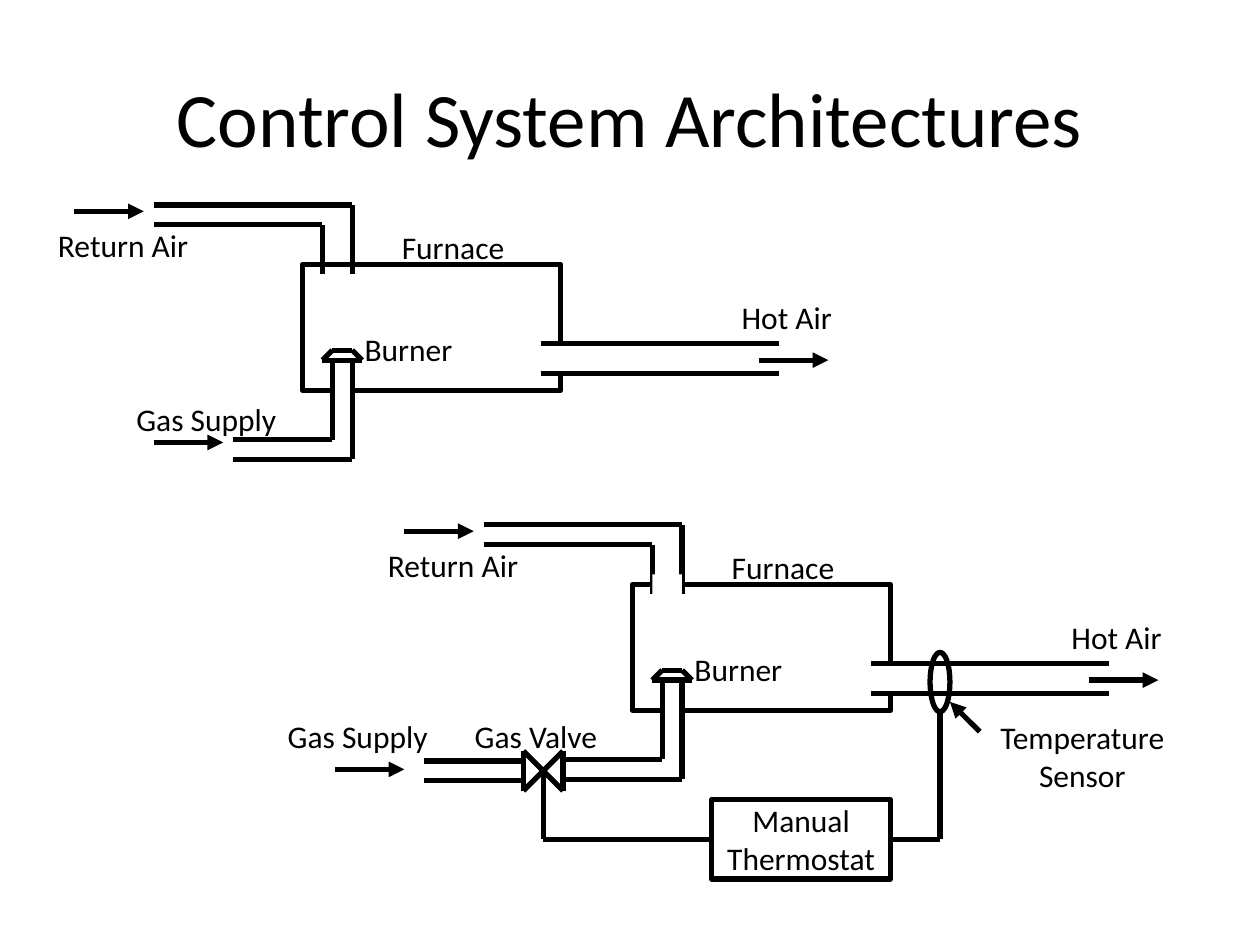
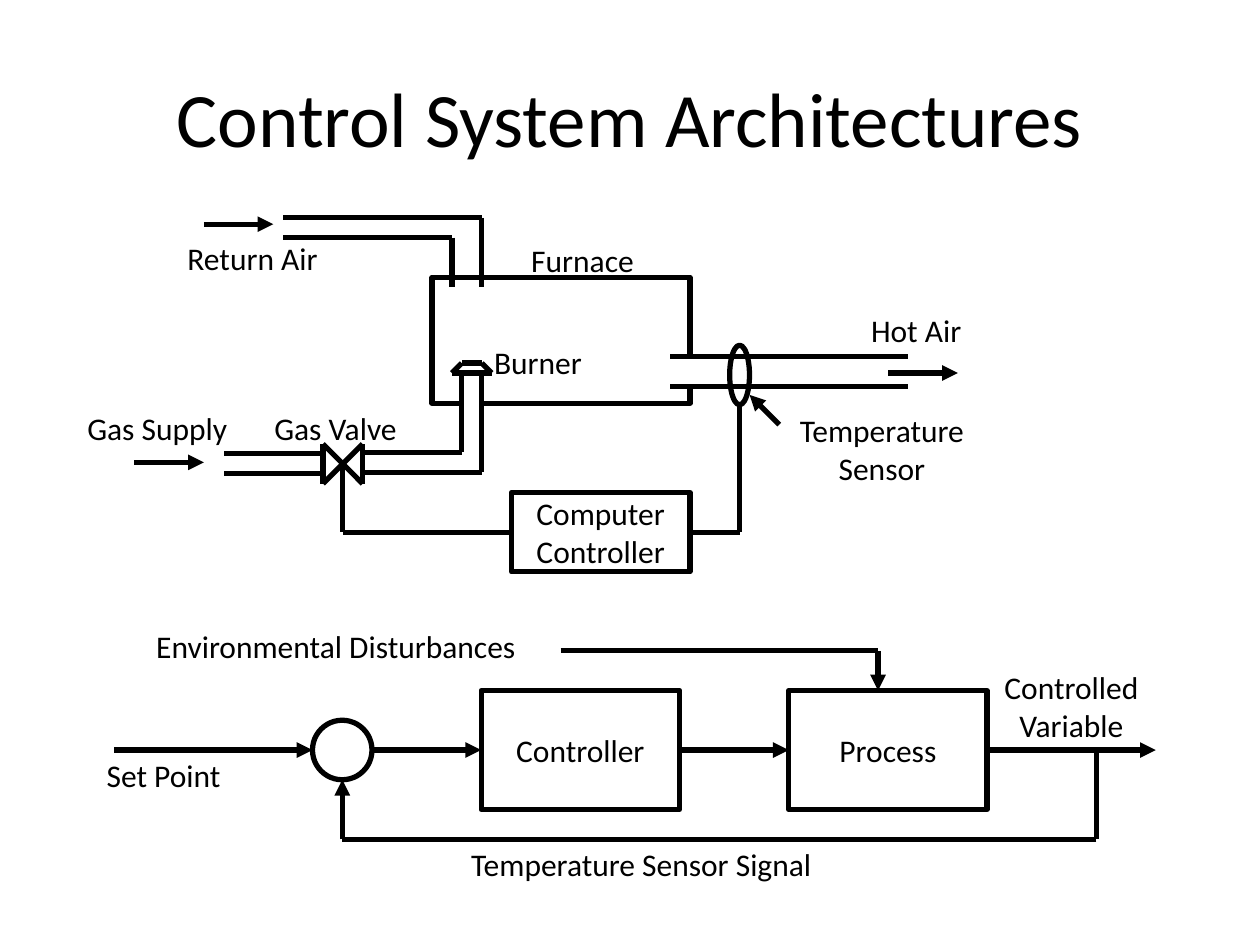
"""Build two slides of furnace control architectures."""
from dataclasses import dataclass
from itertools import pairwise
from typing import Any

from lxml import etree
from pptx import Presentation
from pptx.dml.color import RGBColor
from pptx.enum import shapes, text
from pptx.oxml import ns
from pptx.util import Cm, Pt

COLORS = {"ink": "000000", "paper": "FFFFFF"}
FONT = "Calibri"
LEFT, RIGHT = 1, 3
RECT, OVAL = shapes.MSO_SHAPE.RECTANGLE, shapes.MSO_SHAPE.OVAL


def color(key):
    """Look up a palette colour."""
    return RGBColor.from_string(COLORS[key])


def write(frame, words, size=18, centered=True):
    """Fill a text frame and format its runs."""
    frame.text = words
    for paragraph in frame.paragraphs:
        paragraph.alignment = text.PP_ALIGN.CENTER if centered else text.PP_ALIGN.LEFT
        for run in paragraph.runs:
            run.font.name, run.font.size = FONT, Pt(size)
            run.font.color.rgb = color("ink")


@dataclass
class Diagram:
    """A drawing area whose lengths are centimetres from its own origin."""

    slide: Any
    x: float = 0
    y: float = 0

    def place(self, x, y):
        """Turn a local point into slide lengths."""
        return Cm(self.x + x), Cm(self.y + y)

    def line(self, start, end, arrow=False, leaves=None, joins=None):
        """Draw a straight line, joined to box sides where they are given."""
        connector = self.slide.shapes.add_connector(
            shapes.MSO_CONNECTOR.STRAIGHT, *self.place(*start), *self.place(*end))
        if leaves:
            connector.begin_connect(*leaves)
        if joins:
            connector.end_connect(*joins)
        connector.line.color.rgb = color("ink")
        connector.line.width = Pt(3)
        if arrow:
            etree.SubElement(connector.line._get_or_add_ln(), ns.qn("a:tailEnd"), type="triangle")
        etree.SubElement(connector._element.spPr, ns.qn("a:effectLst"))

    def pipe(self, *points):
        """Draw lines through a row of points."""
        for start, end in pairwise(points):
            self.line(start, end)

    def outline(self, x, y, width, height, words="", kind=RECT):
        """Draw an unfilled shape with an optional centred caption."""
        shape = self.slide.shapes.add_shape(kind, *self.place(x, y), Cm(width), Cm(height))
        shape.shadow.inherit = False
        shape.fill.background()
        shape.line.color.rgb = color("ink")
        shape.line.width = Pt(3)
        if words:
            shape.text_frame.word_wrap = False
            shape.text_frame.vertical_anchor = text.MSO_ANCHOR.MIDDLE
            write(shape.text_frame, words)
        return shape

    def opening(self, x, y, width, height):
        """Clear a stretch of wall where a pipe passes through."""
        gap = self.slide.shapes.add_shape(RECT, *self.place(x, y), Cm(width), Cm(height))
        gap.shadow.inherit = False
        gap.fill.solid()
        gap.fill.fore_color.rgb = color("paper")
        gap.line.fill.background()

    def label(self, words, x, y, width):
        """Write a caption; captions of two lines are centred."""
        lines = words.count("\n") + 1
        box = self.slide.shapes.add_textbox(
            *self.place(x, y), Cm(width), Cm(0.26 + 0.76 * lines))
        box.text_frame.word_wrap = False
        box.text_frame.auto_size = text.MSO_AUTO_SIZE.SHAPE_TO_FIT_TEXT
        write(box.text_frame, words, centered=lines > 1)


def add_titled_slide(deck):
    """Add a blank slide with the shared title."""
    slide = deck.slides.add_slide(deck.slide_layouts[6])
    title = slide.shapes.add_textbox(Cm(1.27), Cm(0.76), Cm(22.86), Cm(3.18)).text_frame
    title.word_wrap = True
    title.vertical_anchor = text.MSO_ANCHOR.MIDDLE
    write(title, "Control System Architectures", 44)
    return slide


def draw_burner(plant):
    """Draw the burner cap and the gas pipe that feeds it."""
    plant.opening(0.6, 2.2, 0.4, 0.6)
    plant.pipe((0.6, 1.93), (0.6, 3.53), (-1.4, 3.53))
    plant.pipe((1, 1.93), (1, 3.93), (-1.4, 3.93))
    plant.pipe((0.4, 1.93), (1.2, 1.93), (1, 1.73), (0.6, 1.73), (0.4, 1.93))
    plant.label("Burner", 1, 1.2, 2.41)


def draw_furnace(plant, open_return=False):
    """Draw the furnace with its air ducts and burner."""
    plant.outline(0, 0, 5.2, 2.54)
    plant.pipe((-3, -0.8), (0.4, -0.8), (0.4, 0.2))
    plant.pipe((-3, -1.2), (1, -1.2), (1, 0.2))
    if open_return:
        plant.opening(0.4, -0.2, 0.6, 0.6)
    plant.opening(4.8, 1.6, 0.6, 0.6)
    for duct_wall in (1.6, 2.2):
        plant.pipe((4.8, duct_wall), (9.6, duct_wall))
    plant.line((9.2, 1.93), (10.6, 1.93), arrow=True)
    plant.line((-4.6, -1.07), (-3.2, -1.07), arrow=True)
    draw_burner(plant)
    plant.label("Hot Air", 8.6, 0.56, 2.46)
    plant.label("Return Air", -5.18, -0.89, 3.38)
    plant.label("Furnace", 1.75, -0.86, 2.84)


def draw_gas_supply(plant, label_x, label_y, arrow_x, arrow_y):
    """Label the gas supply and show its flow."""
    plant.label("Gas Supply", label_x, label_y, 3.78)
    plant.line((arrow_x, arrow_y), (arrow_x + 1.4, arrow_y), arrow=True)


def draw_control(plant, controller_name):
    """Draw the gas valve, the controller and the temperature sensor."""
    valve_x, valve_y, half = -1.8, 3.76, 0.4
    west, east = valve_x - half, valve_x + half
    top, bottom = valve_y - half, valve_y + half
    plant.pipe((west, top), (east, bottom), (east, top), (west, bottom), (west, top))
    for pipe_wall in (valve_y - 0.2, valve_y + 0.2):
        plant.pipe((west, pipe_wall), (west - 2, pipe_wall))
    plant.label("Gas Valve", -3.43, 2.54, 3.43)
    draw_gas_supply(plant, -7.2, 2.54, -6, 3.73)

    controller = plant.outline(1.6, 4.34, 3.6, 1.6, controller_name)
    signal_y, sensor_x = 5.14, 6.2
    plant.line((valve_x, valve_y), (valve_x, signal_y))
    plant.line((valve_x, signal_y), (1.6, signal_y), joins=(controller, LEFT))
    plant.outline(sensor_x - 0.2, 1.37, 0.4, 1.2, kind=OVAL)
    plant.line((sensor_x, 2.57), (sensor_x, signal_y))
    plant.line((5.2, signal_y), (sensor_x, signal_y), leaves=(controller, RIGHT))
    plant.label("Temperature\nSensor", 7, 2.57, 4.14)
    plant.line((7, 2.97), (6.4, 2.37), arrow=True)


def draw_feedback_loop(loop):
    """Draw the block diagram; the origin is the centre of the summing point."""
    radius, block_width, block_height = 0.6, 4, 2.4
    loop.outline(-radius, -radius, 2 * radius, 2 * radius, kind=OVAL)
    controller, process = (
        loop.outline(x, -block_height / 2, block_width, block_height, words)
        for x, words in ((2.8, "Controller"), (9, "Process")))

    loop.line((-4.6, 0), (-radius, 0), arrow=True)
    loop.line((radius, 0), (2.8, 0), arrow=True, joins=(controller, LEFT))
    loop.line((6.8, 0), (9, 0), arrow=True, leaves=(controller, RIGHT), joins=(process, LEFT))
    loop.line((13, 0), (16.4, 0), arrow=True, leaves=(process, RIGHT))
    loop.pipe((4.4, -2), (10.8, -2))
    loop.line((10.8, -2), (10.8, -1.2), arrow=True)
    loop.pipe((15.2, 0), (15.2, 1.8), (0, 1.8))
    loop.line((0, 1.8), (0, radius), arrow=True)

    loop.label("Set Point", -5, 0, 3.1)
    loop.label("Environmental Disturbances", -4, -2.6, 8.46)
    loop.label("Controlled\nVariable", 13, -1.78, 3.4)
    loop.label("Temperature Sensor Signal", 2.35, 1.8, 8.28)


def main():
    """Build and save the deck."""
    deck = Presentation()
    deck.slide_width, deck.slide_height = Cm(25.4), Cm(19.05)

    furnaces = add_titled_slide(deck)
    uncontrolled = Diagram(furnaces, 6.1, 5.33)
    draw_furnace(uncontrolled)
    draw_gas_supply(uncontrolled, -3.6, 2.6, -3, 3.59)
    manual = Diagram(furnaces, 12.75, 11.78)
    draw_furnace(manual, open_return=True)
    draw_control(manual, "Manual\nThermostat")

    feedback = add_titled_slide(deck)
    automatic = Diagram(feedback, 8.71, 5.59)
    draw_furnace(automatic)
    draw_control(automatic, "Computer\nController")
    draw_feedback_loop(Diagram(feedback, 6.9, 15.12))

    deck.save("out.pptx")


if __name__ == "__main__":
    main()
